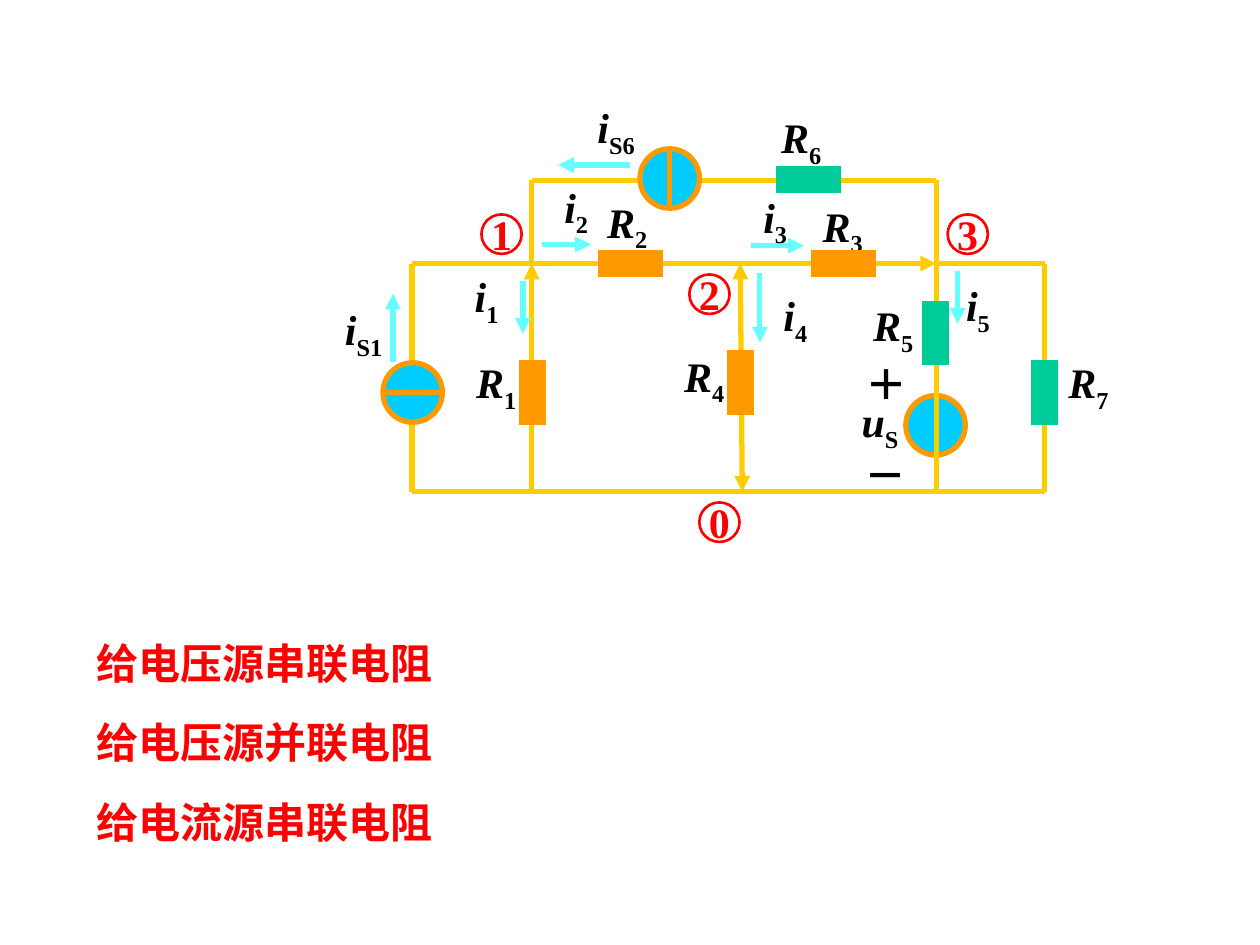
import pptx
import pptx.dml.color
import pptx.enum.shapes
import pptx.enum.text
import pptx.oxml.ns
import pptx.util
from lxml import etree

Pt = pptx.util.Pt
SHAPES = pptx.enum.shapes.MSO_SHAPE
COLORS = {"wire": "FFCC00", "current": "66FFFF", "source": "00CCFF", "orange": "FF9900",
          "green": "00CC99", "red": "FF0000", "black": "000000"}
SERIF = {"name": "Times New Roman", "size": Pt(24), "bold": True}
SANS = {"name": "Arial", "size": Pt(24), "bold": True}

COLUMNS = (45.4, 113.8, 233, 345, 406.9)
ROWS = (48, 95.6, 226)
WIRES = [
    (COLUMNS[0], ROWS[1], COLUMNS[0], ROWS[2], ()),
    (COLUMNS[1], ROWS[0], COLUMNS[3], ROWS[0], ()),
    (COLUMNS[0], ROWS[2], COLUMNS[4], ROWS[2], ()),
    (COLUMNS[0], ROWS[1], COLUMNS[3], ROWS[1], ("tailEnd",)),
    (COLUMNS[3], ROWS[1], COLUMNS[4], ROWS[1], ()),
    (COLUMNS[2], ROWS[1], COLUMNS[2] + 1.2, ROWS[2], ("headEnd", "tailEnd")),
    (COLUMNS[1], ROWS[1], COLUMNS[1], ROWS[0], ()),
    (COLUMNS[1], ROWS[1], COLUMNS[1], ROWS[2], ("headEnd",)),
    (COLUMNS[3], ROWS[0], COLUMNS[3], ROWS[2], ()),
    (COLUMNS[4], ROWS[1], COLUMNS[4], ROWS[2], ()),
]
CURRENTS = [
    (170, 39.3, 129, 39.3), (119.6, 84.7, 147.7, 84.7), (239.1, 85.4, 269.4, 85.4),
    (108.8, 105.6, 108.8, 135.8), (34.6, 151.6, 34.6, 112.8),
    (244.2, 101.2, 244.2, 140.8), (357.2, 99.8, 357.2, 130),
]
LABELS = [
    ("i", "S1", 0, 114.9, 40), ("i", "S6", 144.3, -0.4, 40), ("u", "S", 295.3, 167.5, 36),
    ("i", "1", 74.2, 96.2, 28.4), ("i", "2", 125.4, 45.1, 28.4), ("i", "3", 239.1, 50.8, 28.4),
    ("i", "4", 250.6, 107, 28.4), ("i", "5", 355, 101.2, 28.4),
    ("R", "1", 75, 145.2, 37.4), ("R", "2", 149.8, 53.7, 37.4), ("R", "3", 273, 55.9, 37.4),
    ("R", "4", 193.8, 141.6, 37.4), ("R", "5", 301.8, 112.8, 37.4),
    ("R", "6", 249.2, 5.2, 37.4), ("R", "7", 413.4, 145.2, 37.4),
]
SIGNS = [("＋", 297.4, 146.6, 36.7), ("－", 296.7, 198.4, 28.1)]
RESISTORS = [
    (114.2, 169.3, "orange", False), (170.4, 95.8, "orange", True),
    (292, 95.8, "orange", True), (233, 163.5, "orange", False),
    (344.6, 135.4, "green", False), (271.9, 47.6, "green", True), (407, 169.3, "green", False),
]
NODES = [("0", 221.1, 243.4), ("1", 96.6, 78.8), ("2", 215.4, 113.1), ("3", 363, 78.8)]
NOTES = ["给电压源串联电阻", "给电压源并联电阻", "给电流源串联电阻"]


def color(name):
    """Return the named colour."""
    return pptx.dml.color.RGBColor.from_string(COLORS[name])


def add_line(slide, points, name, ends=()):
    """Draw a straight 3 pt line with triangles at the given ends."""
    line = slide.shapes.add_connector(
        pptx.enum.shapes.MSO_CONNECTOR.STRAIGHT, *(Pt(value) for value in points))
    line.line.color.rgb = color(name)
    line.line.width = Pt(3)
    for end in ends:
        etree.SubElement(line.line._get_or_add_ln(), pptx.oxml.ns.qn(f"a:{end}"), type="triangle")
    etree.SubElement(line._element.spPr, pptx.oxml.ns.qn("a:effectLst"))


def add_centered(slide, kind, x, y, width, height, fill, outline, weight=3):
    """Draw a preset shape with sharp corners around a centre point."""
    shape = slide.shapes.add_shape(
        kind, Pt(x - width / 2), Pt(y - height / 2), Pt(width), Pt(height))
    shape.shadow.inherit = False
    if fill:
        shape.fill.solid()
        shape.fill.fore_color.rgb = color(fill)
    else:
        shape.fill.background()
    shape.line.color.rgb = color(outline)
    shape.line.width = Pt(weight)
    etree.SubElement(shape.line._get_or_add_ln(), pptx.oxml.ns.qn("a:miter"), lim="800000")
    return shape


def add_run(paragraph, text, formats, name):
    """Append a run with the given font values and colour."""
    run = paragraph.add_run()
    run.text = text
    for attribute, value in formats.items():
        setattr(run.font, attribute, value)
    run.font.color.rgb = color(name)
    return run


def add_text_box(slide, left, top, width, height, wrap):
    """Add a text box and return its paragraph."""
    box = slide.shapes.add_textbox(Pt(left), Pt(top), Pt(width), Pt(height))
    box.text_frame.word_wrap = wrap
    return box.text_frame.paragraphs[0]


def add_source(slide, x, y, bar=None):
    """Draw a source circle, with a bar across or down for a current source."""
    radius = 17
    add_centered(slide, SHAPES.OVAL, x, y, 2 * radius, 2 * radius, "source", "orange")
    if bar == "across":
        add_line(slide, (x - radius, y, x + radius, y), "orange")
    elif bar == "down":
        add_line(slide, (x, y - radius, x, y + radius), "orange")


def add_node(slide, number, x, y):
    """Draw a numbered circuit node."""
    node = add_centered(slide, SHAPES.OVAL, x, y, 23, 22.6, None, "red", 1.5)
    frame = node.text_frame
    frame.word_wrap = False
    frame.vertical_anchor = pptx.enum.text.MSO_ANCHOR.MIDDLE
    frame.paragraphs[0].alignment = pptx.enum.text.PP_ALIGN.CENTER
    add_run(frame.paragraphs[0], number, SERIF, "red")


def add_circuit(slide, left, top):
    """Draw the circuit with its box corner at the given point."""
    add_source(slide, left + 344.6, top + 188)
    for x1, y1, x2, y2, ends in WIRES:
        add_line(slide, (left + x1, top + y1, left + x2, top + y2), "wire", ends)
    add_source(slide, left + 45.8, top + 169.3, "across")
    add_source(slide, left + 192.7, top + 47, "down")
    for x1, y1, x2, y2 in CURRENTS:
        add_line(slide, (left + x1, top + y1, left + x2, top + y2), "current", ("tailEnd",))
    for symbol, subscript, x, y, width in LABELS:
        paragraph = add_text_box(slide, left + x, top + y, width, 40.3, False)
        add_run(paragraph, symbol, {**SERIF, "italic": True}, "black")
        run = add_run(paragraph, subscript, SERIF, "black")
        run.font._element.set("baseline", "-25000")
    for sign, x, y, width in SIGNS:
        paragraph = add_text_box(slide, left + x, top + y, width, 36, True)
        add_run(paragraph, sign, SANS, "black")
    for x, y, name, lying in RESISTORS:
        width, height = (34, 12.3) if lying else (12.3, 34)
        add_centered(slide, SHAPES.RECTANGLE, left + x, top + y, width, height, name, name)
    for number, x, y in NODES:
        add_node(slide, number, left + x, top + y)


def add_notes_list(slide, left, top, width, step):
    """Write the red statements at equal steps."""
    for index, note in enumerate(NOTES):
        paragraph = add_text_box(slide, left, top + index * step, width, 36, True)
        add_run(paragraph, note, SERIF, "red")


def main():
    """Build and save the slide."""
    presentation = pptx.Presentation()
    presentation.slide_width, presentation.slide_height = Pt(720), Pt(540)
    slide = presentation.slides.add_slide(presentation.slide_layouts[6])
    add_circuit(slide, 190, 55)
    add_notes_list(slide, 48.2, 360.7, 323.3, 45.4)
    presentation.save("out.pptx")


if __name__ == "__main__":
    main()
